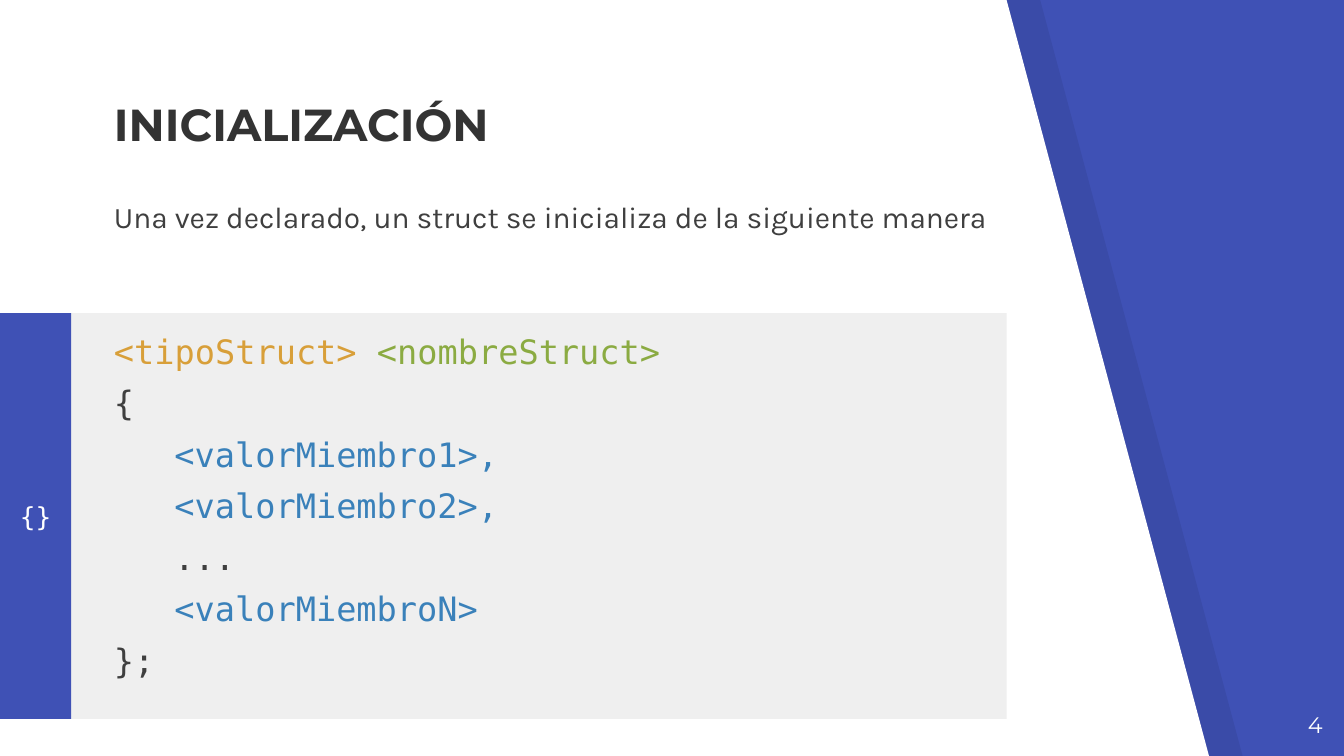
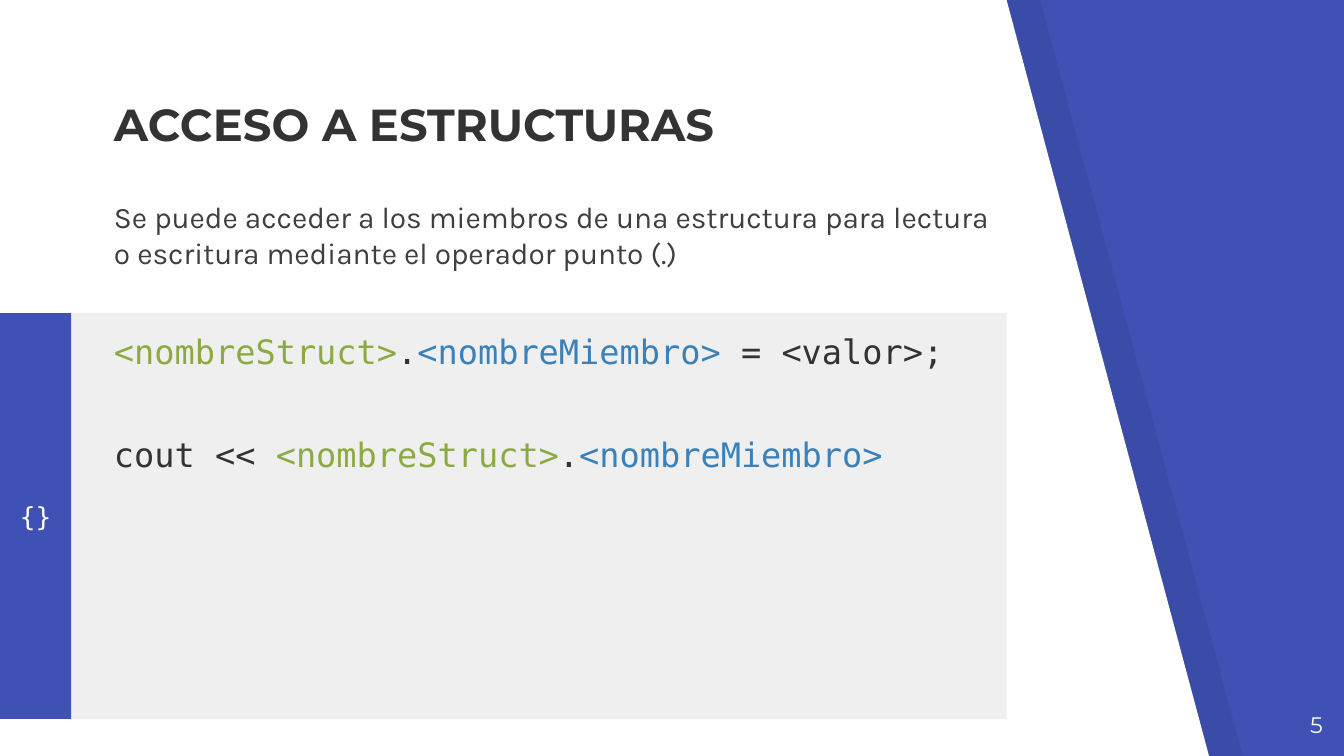
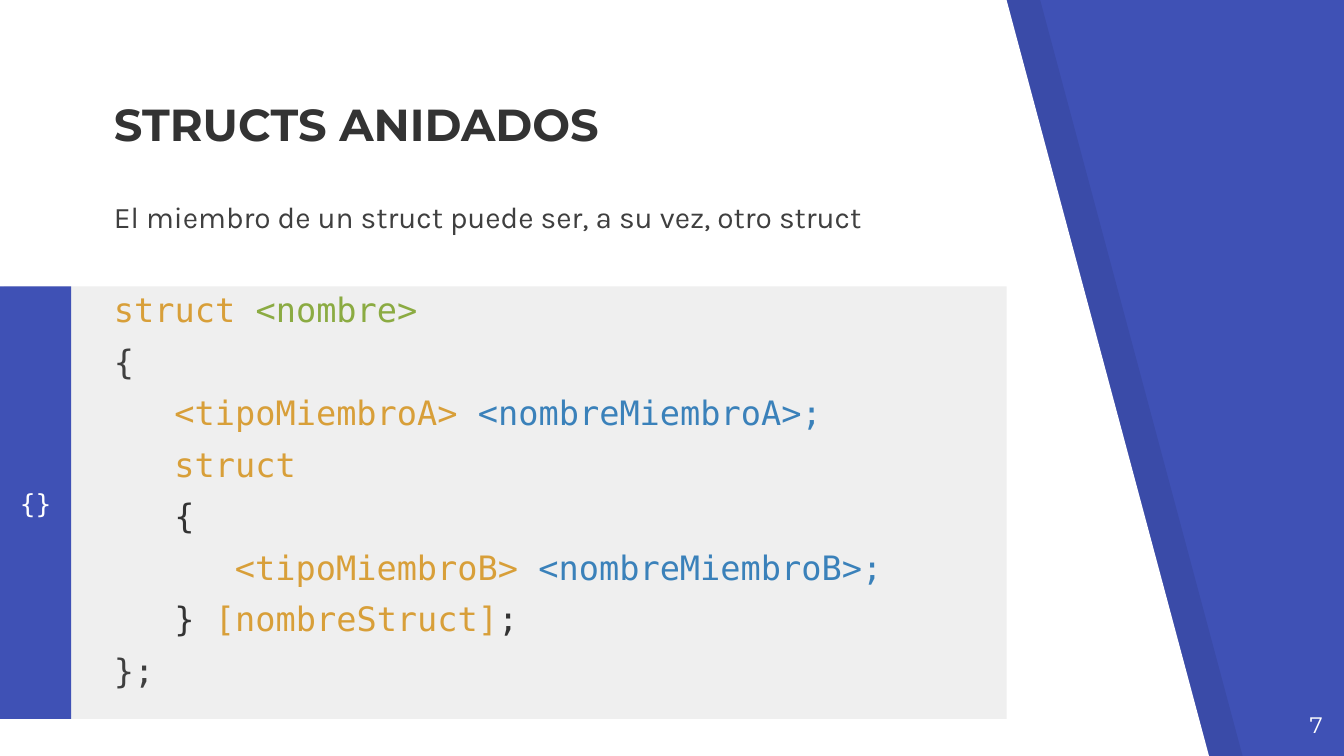
import pptx
import pptx.dml.color
import pptx.enum.shapes
import pptx.enum.text
import pptx.oxml
import pptx.oxml.ns
import pptx.util

Inches = pptx.util.Inches
Pt = pptx.util.Pt
RGBColor = pptx.dml.color.RGBColor
Align = pptx.enum.text.PP_ALIGN
Anchor = pptx.enum.text.MSO_ANCHOR
RECTANGLE = pptx.enum.shapes.MSO_SHAPE.RECTANGLE

COLORS = {
    "blue": "3F51B5", "white": "FFFFFF", "shade": "000000", "panel": "EFEFEF",
    "title": "333333", "body": "3F3F3F",
    "type": "D89F39", "name": "8BAB42", "member": "3A81BA",
}
MONO = "DejaVu Sans Mono"
TEXT_LEFT, TEXT_WIDTH = 0.75, 6.73
PANEL_BOTTOM = 5.35
INDENT = 0.45  # three monospaced characters at 18 pt

# Each code line is: indent level, space before in points, coloured spans
SLIDES = [
    {
        "number": "4", "title": "INICIALIZACIÓN",
        "intro": "Una vez declarado, un struct se inicializa de la siguiente manera",
        "panel_top": 2.33, "code_top": 2.36, "code_height": 2.99,
        "code": [
            (0, 6, [("<tipoStruct> ", "type"), ("<nombreStruct>", "name")]),
            (0, 6, [("{", "body")]),
            (1, 6, [("<valorMiembro1>,", "member")]),
            (1, 6, [("<valorMiembro2>,", "member")]),
            (1, 6, [("...", "body")]),
            (1, 6, [("<valorMiembroN>", "member")]),
            (0, 6, [("};", "body")]),
        ],
    },
    {
        "number": "5", "title": "ACCESO A ESTRUCTURAS",
        "intro": "Se puede acceder a los miembros de una estructura para lectura "
                 "o escritura mediante el operador punto (.)",
        "panel_top": 2.33, "code_top": 2.36, "code_height": 2.99,
        "code": [
            (0, 6, [("<nombreStruct>", "name"), (".", "title"),
                    ("<nombreMiembro>", "member"), (" = <valor>;", "title")]),
            (0, 34, [("cout << ", "title"), ("<nombreStruct>", "name"),
                     (".", "title"), ("<nombreMiembro>", "member")]),
        ],
    },
    {
        "number": "7", "title": "STRUCTS ANIDADOS",
        "intro": "El miembro de un struct puede ser, a su vez, otro struct",
        "panel_top": 2.13, "code_top": 2.05, "code_height": 3.22,
        "code": [
            (0, 6, [("struct ", "type"), ("<nombre>", "name")]),
            (0, 6, [("{", "body")]),
            (1, 6, [("<tipoMiembroA> ", "type"), ("<nombreMiembroA>;", "member")]),
            (1, 6, [("struct", "type")]),
            (1, 6, [("{", "title")]),
            (2, 6, [("<tipoMiembroB> ", "type"), ("<nombreMiembroB>;", "member")]),
            (1, 6, [("} ", "title"), ("[nombreStruct]", "type"), (";", "title")]),
            (0, 6, [("};", "body")]),
        ],
    },
]


def add_text(para, text, font=MONO, size=18, color="body", bold=False, align=Align.LEFT, before=0):
    para.alignment = align
    para.space_before = Pt(before)
    span = para.add_run()
    span.text = text
    span.font.name = font
    span.font.size = Pt(size)
    span.font.bold = bold
    span.font.color.rgb = RGBColor.from_string(COLORS[color])


def prepare_frame(box, anchor=Anchor.TOP):
    frame = box.text_frame
    frame.word_wrap = True
    frame.vertical_anchor = anchor
    frame.margin_left = frame.margin_right = Inches(0.1)
    frame.margin_top = frame.margin_bottom = Inches(0.1)
    return frame


# Widescreen deck, 16:9
deck = pptx.Presentation()
deck.slide_width = Inches(10)
deck.slide_height = Inches(10) * 9 // 16

for content in SLIDES:
    page = deck.slides.add_slide(deck.slide_layouts[6])
    page.background.fill.solid()
    page.background.fill.fore_color.rgb = RGBColor.from_string(COLORS["blue"])

    # Slanted white sheet and the shade beside it
    for left, color in [(0.25, "shade"), (0, "white")]:
        outline = page.shapes.build_freeform(Inches(left), Inches(-0.01))
        corners = [(0, 5.64), (9, 5.64), (7.49, 0)]
        outline.add_line_segments([(Inches(left + x), Inches(y)) for x, y in corners])
        sheet = outline.convert_to_shape()
        sheet.shadow.inherit = False
        sheet.line.fill.background()
        sheet.fill.solid()
        sheet.fill.fore_color.rgb = RGBColor.from_string(COLORS[color])
        if color == "shade":
            tint = sheet.fill._xPr.find(".//" + pptx.oxml.ns.qn("a:srgbClr"))
            tint.append(pptx.oxml.parse_xml(
                f'<a:alpha {pptx.oxml.ns.nsdecls("a")} val="7000"/>'))

    # Code panel with its tab
    group = page.shapes.add_group_shape()
    top = content["panel_top"]
    for left, width, color in [(0.03, 7.46, "panel"), (0, 0.53, "blue")]:
        block = group.shapes.add_shape(
            RECTANGLE, Inches(left), Inches(top), Inches(width), Inches(PANEL_BOTTOM - top))
        block.shadow.inherit = False
        block.line.fill.background()
        block.fill.solid()
        block.fill.fore_color.rgb = RGBColor.from_string(COLORS[color])
    tab_frame = prepare_frame(block, Anchor.MIDDLE)
    add_text(tab_frame.paragraphs[0], "{}", size=14, color="white", align=Align.CENTER)

    # Introduction, slide number and title
    intro = page.shapes.add_textbox(Inches(TEXT_LEFT), Inches(1.38), Inches(TEXT_WIDTH), Inches(0.94))
    add_text(prepare_frame(intro).paragraphs[0], content["intro"], font="Karla", size=16, before=6)

    number = page.shapes.add_textbox(Inches(9.34), Inches(5.19), Inches(0.6), Inches(0.43))
    add_text(prepare_frame(number).paragraphs[0], content["number"],
             font="Montserrat", size=12, color="white", align=Align.RIGHT)

    title = page.shapes.add_textbox(Inches(TEXT_LEFT), Inches(0.77), Inches(TEXT_WIDTH), Inches(0.45))
    add_text(prepare_frame(title, Anchor.BOTTOM).paragraphs[0], content["title"],
             font="Montserrat", size=24, color="title", bold=True)

    # Code lines
    code = page.shapes.add_textbox(
        Inches(TEXT_LEFT), Inches(content["code_top"]),
        Inches(TEXT_WIDTH), Inches(content["code_height"]))
    frame = prepare_frame(code)
    for index, (level, before, spans) in enumerate(content["code"]):
        para = frame.add_paragraph() if index else frame.paragraphs[0]
        para._p.get_or_add_pPr().set("marL", str(Inches(INDENT * level)))
        for text, color in spans:
            add_text(para, text, color=color, before=before)

deck.save("out.pptx")
